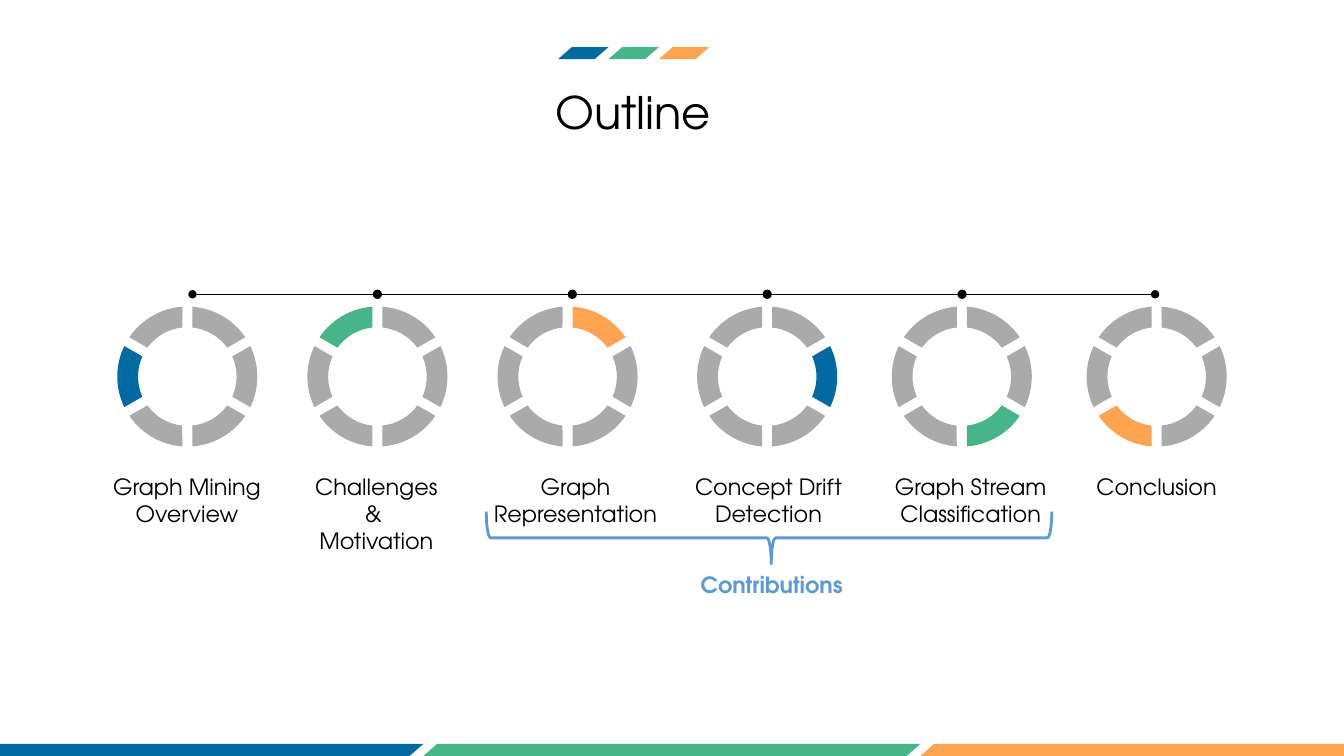
from math import asin, cos, degrees, radians, sin
from pptx import Presentation
from pptx import util as u
from pptx.dml import color
from pptx.enum import shapes, text
from pptx.oxml import ns, xmlchemy

Pt = u.Pt
THEME = {
    "font": "TeX Gyre Adventor",
    "title": 32,
    "label": 16,
    "black": "000000",
    "grey": "AAAAAA",
    "brace": "5B9BD5",
    "accents": ["016AA3", "46B688", "FEA34F"],
}


def paint(sp, fill):
    sp.shadow.inherit = False
    sp.fill.solid()
    sp.fill.fore_color.rgb = color.RGBColor.from_string(fill)
    sp.line.fill.background()


def add_text(content, left, top, width, height, size=THEME["label"],
             fill=THEME["black"], bold=False, anchor=text.MSO_ANCHOR.TOP):
    tf = s.shapes.add_textbox(Pt(left), Pt(top), Pt(width), Pt(height)).text_frame
    tf.word_wrap = True
    tf.vertical_anchor = anchor
    tf.margin_left = tf.margin_right = tf.margin_top = tf.margin_bottom = 0
    for i, line in enumerate(content.split("\n")):
        p = tf.paragraphs[0] if i == 0 else tf.add_paragraph()
        p.alignment = text.PP_ALIGN.CENTER
        r = p.add_run()
        r.text = line
        r.font.name = THEME["font"]
        r.font.size = Pt(size)
        r.font.bold = bold
        r.font.color.rgb = color.RGBColor.from_string(fill)


prs = Presentation()
prs.slide_width, prs.slide_height = Pt(960), Pt(540)
s = prs.slides.add_slide(prs.slide_layouts[6])

add_text("Outline", 150.5, 60.5, 603.4, 38.9, size=THEME["title"],
         anchor=text.MSO_ANCHOR.MIDDLE)

timeline_y = 210.2
timeline = s.shapes.add_connector(shapes.MSO_CONNECTOR.STRAIGHT, Pt(137.5),
                                  Pt(timeline_y), Pt(825.1), Pt(timeline_y))
timeline.line.width = Pt(0.5)
timeline.line.color.rgb = color.RGBColor.from_string(THEME["black"])
ln = timeline.line._get_or_add_ln()
for end in ("a:headEnd", "a:tailEnd"):
    oval = xmlchemy.OxmlElement(end)
    oval.set("type", "oval")
    ln.append(oval)
timeline._element.find(ns.qn("p:spPr")).append(xmlchemy.OxmlElement("a:effectLst"))

dot = 6.6
for i in range(4):
    sp = s.shapes.add_shape(shapes.MSO_SHAPE.OVAL, Pt(269.6 + 139.2 * i - dot / 2),
                            Pt(timeline_y - dot / 2), Pt(dot), Pt(dot))
    paint(sp, THEME["black"])

for left, top, width, height in ((-52.6, 531.4, 355, 8.6), (398.7, 33.6, 36, 8.6)):
    for i, accent in enumerate(THEME["accents"]):
        sp = s.shapes.add_shape(shapes.MSO_SHAPE.PARALLELOGRAM, Pt(left + width * i),
                                Pt(top), Pt(width), Pt(height))
        sp.adjustments[0] = 1.144
        paint(sp, accent)

topics = [
    ("Graph Mining Overview", 133.8, 133.6, 108.8),
    ("Challenges\n& \nMotivation", 269.6, 268.9, 108.8),
    ("Graph\nRepresentation", 405.4, 411.1, 119.6),
    ("Concept Drift\nDetection", 548, 549, 208),
    ("Graph Stream\nClassification", 687, 693.4, 121.6),
    ("Conclusion", 826.2, 826.2, 108.8),
]
ring_y, outer, inner, half_gap = 269, 50, 35.2, 3.6
for i, (label, ring_x, label_x, label_w) in enumerate(topics):
    for k in range(6):
        middle = 180 + 60 * k
        points, arcs = [], []
        for radius, direction in ((outer, 1), (inner, -1)):
            reach = direction * (30 - degrees(asin(half_gap / radius)))
            for angle in (middle - reach, middle, middle + reach):
                points.append((Pt(ring_x + radius * cos(radians(angle))),
                               Pt(ring_y + radius * sin(radians(angle)))))
            arc = xmlchemy.OxmlElement("a:arcTo")
            arc.set("wR", str(Pt(radius)))
            arc.set("hR", str(Pt(radius)))
            arc.set("stAng", str(round((middle - reach) % 360 * 60000)))
            arc.set("swAng", str(round(2 * reach * 60000)))
            arcs.append(arc)
        builder = s.shapes.build_freeform(*points[0], scale=1)
        builder.add_line_segments(points[1:], close=True)
        segment = builder.convert_to_shape()
        outline = next(segment._element.iter(ns.qn("a:path")))
        edges = outline.findall(ns.qn("a:lnTo"))
        for arc, first in zip(arcs, (0, 3)):
            outline.replace(edges[first], arc)
            outline.remove(edges[first + 1])
        paint(segment, THEME["accents"][i % 3] if k == i else THEME["grey"])
    lines = 2 if i == 0 else label.count("\n") + 1
    add_text(label, label_x - label_w / 2, 337.8, label_w, 19.4 * lines)

brace = s.shapes.add_shape(shapes.MSO_SHAPE.LEFT_BRACE, Pt(530.6), Pt(182.2),
                           Pt(37.4), Pt(403.9))
brace.rotation = 270
brace.adjustments[0], brace.adjustments[1] = 0.083, 0.504
brace.shadow.inherit = False
brace.fill.background()
brace.line.width = Pt(2)
brace.line.color.rgb = color.RGBColor.from_string(THEME["brace"])
add_text("Contributions", 491.4, 408.2, 119.6, 19.4, fill=THEME["brace"], bold=True)

prs.save("out.pptx")
